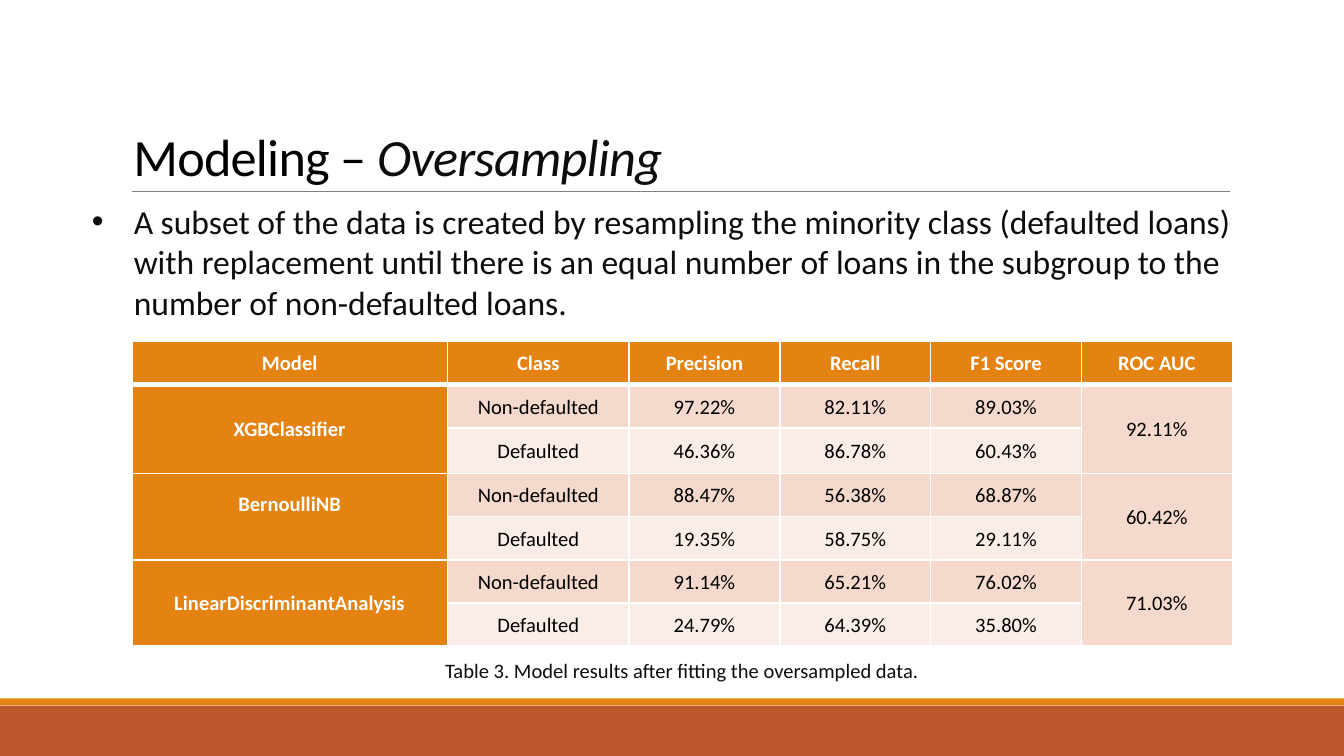
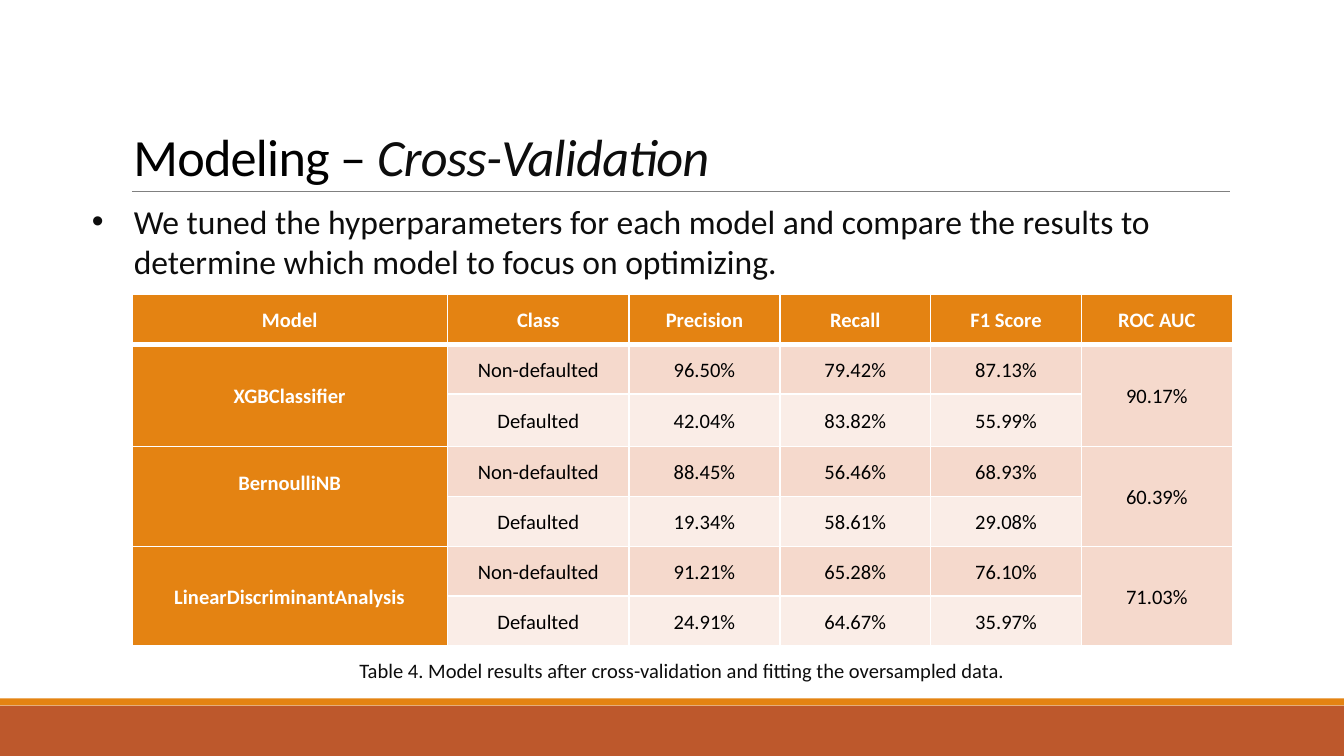
from pptx import Presentation
from pptx.dml.color import RGBColor
from pptx.enum.shapes import MSO_CONNECTOR, MSO_SHAPE
from pptx.enum.text import MSO_ANCHOR, MSO_AUTO_SIZE, PP_ALIGN
from pptx.oxml.ns import qn
from pptx.util import Pt
from lxml import etree

RECTANGLE = MSO_SHAPE.RECTANGLE
STRAIGHT = MSO_CONNECTOR.STRAIGHT
TOP, MIDDLE, BOTTOM = MSO_ANCHOR.TOP, MSO_ANCHOR.MIDDLE, MSO_ANCHOR.BOTTOM
LEFT, CENTER = PP_ALIGN.LEFT, PP_ALIGN.CENTER
GROW = MSO_AUTO_SIZE.SHAPE_TO_FIT_TEXT

WHITE = RGBColor(0xFF, 0xFF, 0xFF)
BLACK = RGBColor(0x00, 0x00, 0x00)
INK = RGBColor(0x0D, 0x0D, 0x0D)
GRAY = RGBColor(0x80, 0x80, 0x80)
RUST = RGBColor(0xBD, 0x58, 0x2C)
ORANGE = RGBColor(0xE4, 0x83, 0x12)
PEACH = RGBColor(0xF5, 0xD9, 0xCC)
PALE = RGBColor(0xFA, 0xED, 0xE7)
FONT = "Calibri"

SLIDE_WIDTH, SLIDE_HEIGHT = 720, 405
CONTENT_LEFT, CONTENT_WIDTH = 70.6, 589.6
TABLE_BOTTOM = 346.3
COLUMN_WIDTHS = [169.2, 97.2] + [80.8] * 4
BLANK_LINE = 14.4  # room kept free below the raised model name

HEADERS = ["Model", "Class", "Precision", "Recall", "F1 Score", "ROC AUC"]
CLASSES = ["Non-defaulted", "Defaulted"]
RAISED_MODEL = "BernoulliNB"

# Each model: name, precision/recall/F1 for each class, ROC AUC
SLIDES = [
    {
        "topic": "Oversampling",
        "bullet": "A subset of the data is created by resampling the minority class "
                  "(defaulted loans) with replacement until there is an equal number of "
                  "loans in the subgroup to the number of non-defaulted loans.",
        "bullet_height": 66.2,
        "row_height": 23.15,
        "tall_row_height": 24.5,
        "models": [
            ("XGBClassifier", [("97.22%", "82.11%", "89.03%"),
                               ("46.36%", "86.78%", "60.43%")], "92.11%"),
            ("BernoulliNB", [("88.47%", "56.38%", "68.87%"),
                             ("19.35%", "58.75%", "29.11%")], "60.42%"),
            ("LinearDiscriminantAnalysis", [("91.14%", "65.21%", "76.02%"),
                                            ("24.79%", "64.39%", "35.80%")], "71.03%"),
        ],
        "caption": "Table 3. Model results after fitting the oversampled data.",
    },
    {
        "topic": "Cross-Validation",
        "bullet": "We tuned the hyperparameters for each model and compare the results "
                  "to determine which model to focus on optimizing.",
        "bullet_height": 44.6,
        "row_height": 26.75,
        "tall_row_height": 28.1,
        "models": [
            ("XGBClassifier", [("96.50%", "79.42%", "87.13%"),
                               ("42.04%", "83.82%", "55.99%")], "90.17%"),
            ("BernoulliNB", [("88.45%", "56.46%", "68.93%"),
                             ("19.34%", "58.61%", "29.08%")], "60.39%"),
            ("LinearDiscriminantAnalysis", [("91.21%", "65.28%", "76.10%"),
                                            ("24.91%", "64.67%", "35.97%")], "71.03%"),
        ],
        "caption": "Table 4. Model results after cross-validation and fitting the "
                   "oversampled data.",
    },
]


def add_band(slide, top, height, color):
    band = slide.shapes.add_shape(RECTANGLE, 0, Pt(top), Pt(SLIDE_WIDTH), Pt(height))
    band.shadow.inherit = False
    band.fill.solid()
    band.fill.fore_color.rgb = color
    band.line.fill.background()


def add_frame(slide):
    """Add the footer bands and the rule under the title."""
    add_band(slide, 378, SLIDE_HEIGHT - 378, RUST)
    add_band(slide, 374.2, 3.8, ORANGE)
    rule = slide.shapes.add_connector(STRAIGHT, Pt(CONTENT_LEFT), Pt(102.7),
                                      Pt(658.8), Pt(102.7))
    rule.line.color.rgb = GRAY
    rule.line.width = Pt(0.5)
    etree.SubElement(rule._element.spPr, qn("a:effectLst"))


def add_run(paragraph, text, size, color, bold=False, italic=False):
    run = paragraph.add_run()
    run.text = text
    font = run.font
    font.name, font.size, font.bold, font.italic = FONT, Pt(size), bold, italic
    font.color.rgb = color
    return run


def add_text_box(slide, left, top, width, height, anchor=TOP, alignment=LEFT):
    """Add an empty text box and return its first paragraph."""
    box = slide.shapes.add_textbox(Pt(left), Pt(top), Pt(width), Pt(height))
    frame = box.text_frame
    frame.word_wrap = True
    frame.auto_size = GROW
    frame.vertical_anchor = anchor
    frame.margin_left = frame.margin_right = frame.margin_bottom = 0
    frame.margin_top = Pt(1)
    paragraph = frame.paragraphs[0]
    paragraph.alignment = alignment
    paragraph.space_before = Pt(1)
    return paragraph


def add_title(slide, topic):
    paragraph = add_text_box(slide, CONTENT_LEFT, 64.8, 355.7, 35.3, BOTTOM)
    paragraph._p.get_or_add_pPr().set("marL", str(Pt(0.9)))
    for text, color, italic in [("Modeling – ", BLACK, False), (topic, INK, True)]:
        run = add_run(paragraph, text, 28, color, italic=italic)
        run._r.get_or_add_rPr().set("spc", "-40")


def add_bullet(slide, text, height):
    paragraph = add_text_box(slide, 48.2, 106.6, 612, height)
    properties = paragraph._p.get_or_add_pPr()
    properties.set("marL", str(Pt(23.5)))
    properties.set("indent", str(Pt(-22.5)))
    etree.SubElement(properties, qn("a:buFont"), typeface="Arial")
    etree.SubElement(properties, qn("a:buChar"), char="•")
    add_run(paragraph, text, 18, INK)


def set_borders(cell, top, bottom):
    """Draw white cell borders; the side borders are 1 pt wide."""
    properties = cell._tc.get_or_add_tcPr()
    sides = [("a:lnL", 1), ("a:lnR", 1), ("a:lnT", top), ("a:lnB", bottom)]
    for position, (tag, width) in enumerate(sides):
        line = etree.Element(qn(tag), w=str(Pt(width)))
        fill = etree.SubElement(line, qn("a:solidFill"))
        etree.SubElement(fill, qn("a:srgbClr"), val=str(WHITE))
        properties.insert(position, line)


def fill_cell(cell, text, row, column):
    strong = row == 0 or column == 0
    cell.fill.solid()
    cell.fill.fore_color.rgb = ORANGE if strong else PEACH if row % 2 else PALE
    cell.vertical_anchor = MIDDLE
    cell.margin_left = cell.margin_right = Pt(5)
    cell.margin_top = 0
    cell.margin_bottom = Pt(BLANK_LINE if text == RAISED_MODEL else 0)
    set_borders(cell, top=3 if row == 1 else 1, bottom=3 if row == 0 else 1)
    if text:
        paragraph = cell.text_frame.paragraphs[0]
        paragraph.alignment = CENTER
        paragraph.line_spacing = 1.07
        add_run(paragraph, text, 11, WHITE if strong else BLACK, bold=strong)


def table_rows(models):
    rows = [HEADERS]
    for name, scores, roc_auc in models:
        for index, (class_name, values) in enumerate(zip(CLASSES, scores)):
            first = index == 0
            rows.append([name if first else "", class_name, *values,
                         roc_auc if first else ""])
    return rows


def add_results_table(slide, models, row_height, tall_row_height):
    rows = table_rows(models)
    heights = [row_height] * len(rows)
    heights[2] = tall_row_height
    height = sum(heights)
    table = slide.shapes.add_table(len(rows), len(HEADERS), Pt(CONTENT_LEFT),
                                   Pt(TABLE_BOTTOM - height), Pt(CONTENT_WIDTH),
                                   Pt(height)).table
    table.horz_banding = False
    for column, width in zip(table.columns, COLUMN_WIDTHS):
        column.width = Pt(width)
    for row, row_size in zip(table.rows, heights):
        row.height = Pt(row_size)
    for row, texts in enumerate(rows):
        for column, text in enumerate(texts):
            fill_cell(table.cell(row, column), text, row, column)
    for row in range(1, len(rows), len(CLASSES)):
        for column in (0, len(HEADERS) - 1):
            last_row = row + len(CLASSES) - 1
            table.cell(row, column).merge(table.cell(last_row, column))


def add_caption(slide, text):
    paragraph = add_text_box(slide, CONTENT_LEFT, 351.4, CONTENT_WIDTH, 14.4,
                             alignment=CENTER)
    add_run(paragraph, text, 11, INK)


def main():
    presentation = Presentation()
    presentation.slide_width = Pt(SLIDE_WIDTH)
    presentation.slide_height = Pt(SLIDE_HEIGHT)
    blank_layout = presentation.slide_layouts[6]
    for content in SLIDES:
        slide = presentation.slides.add_slide(blank_layout)
        add_frame(slide)
        add_title(slide, content["topic"])
        add_bullet(slide, content["bullet"], content["bullet_height"])
        add_results_table(slide, content["models"], content["row_height"],
                          content["tall_row_height"])
        add_caption(slide, content["caption"])
    presentation.save("out.pptx")


if __name__ == "__main__":
    main()
